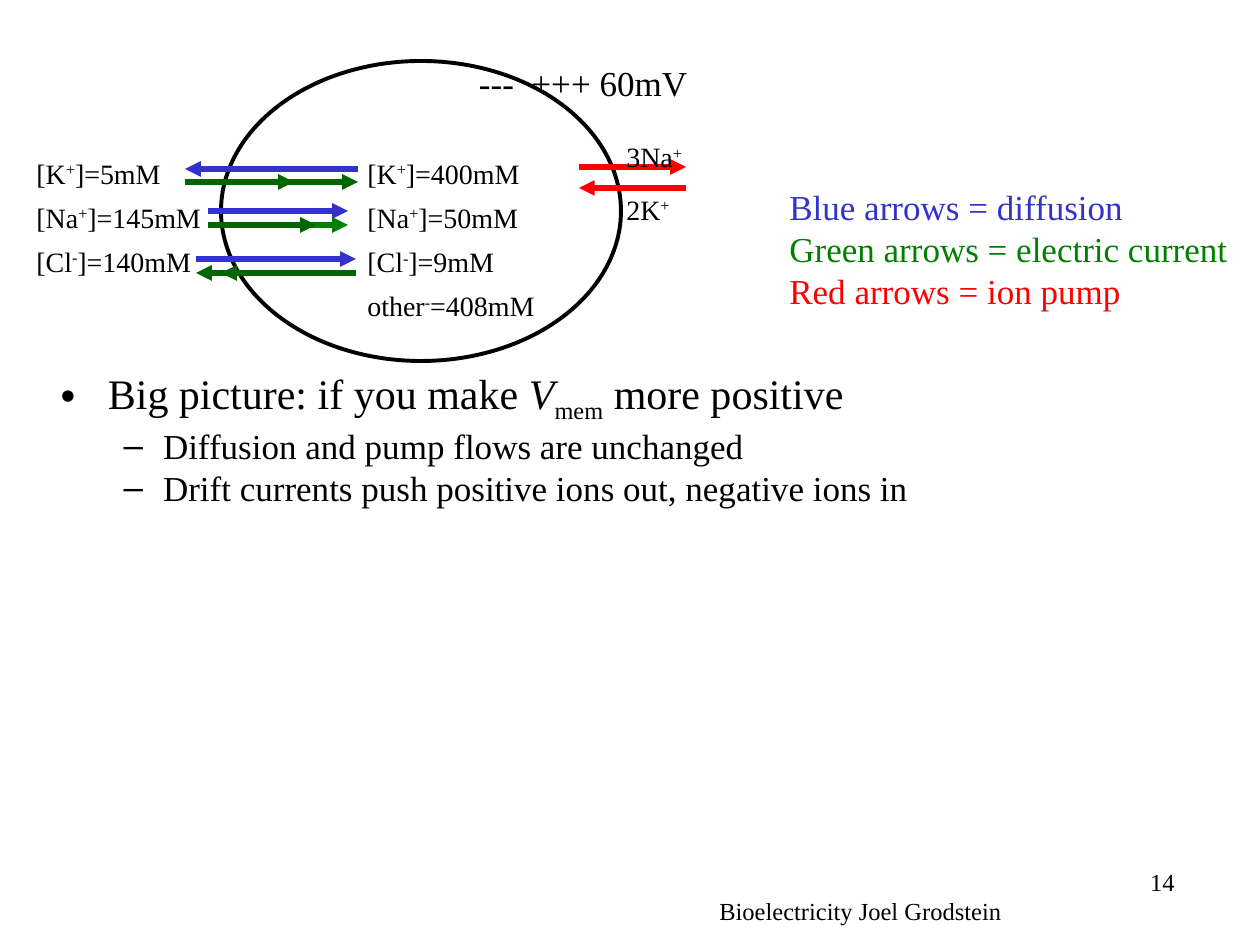
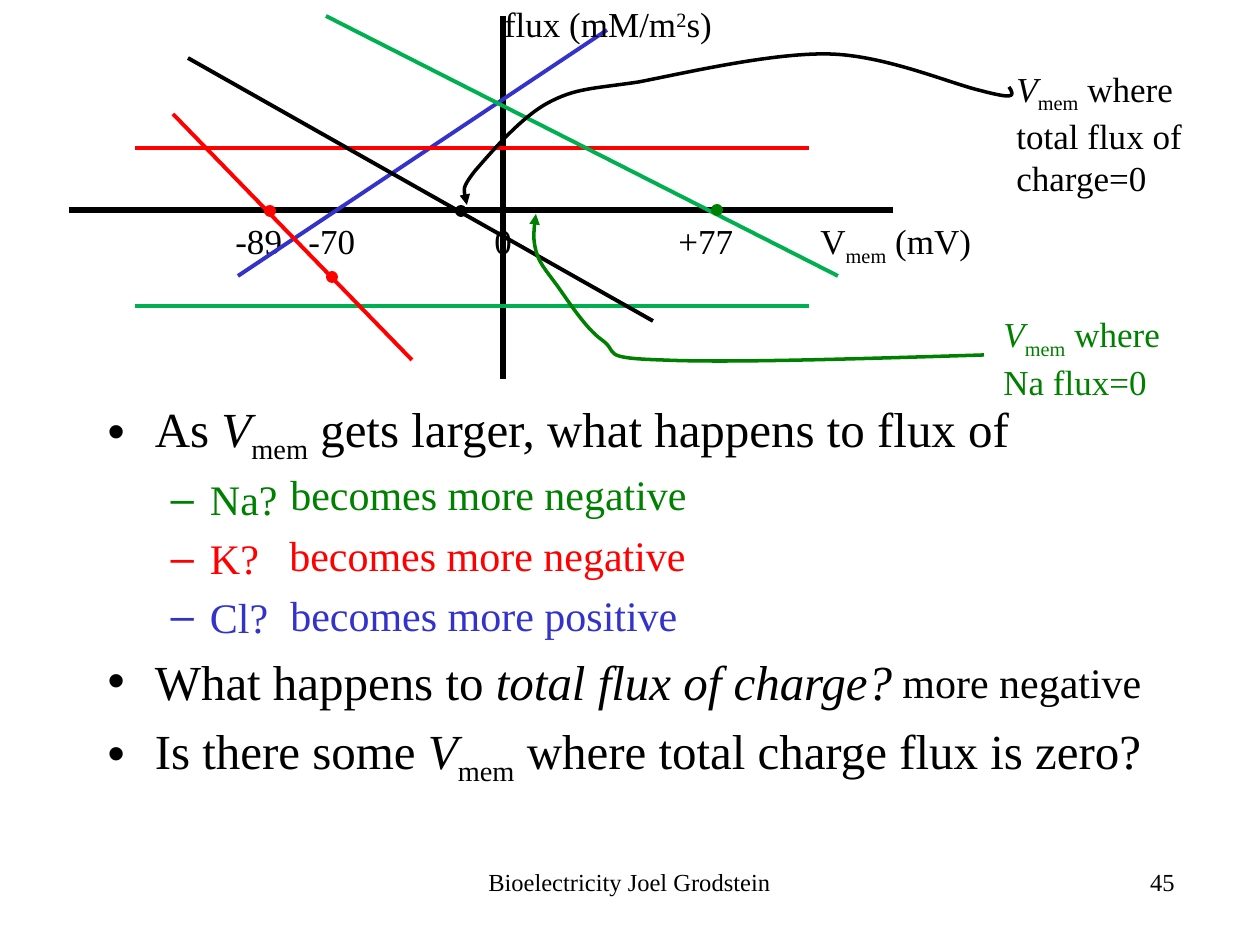
from typing import NamedTuple

import lxml.etree
import pptx
import pptx.dml.color
import pptx.enum.shapes
import pptx.enum.text
import pptx.oxml
import pptx.oxml.ns
import pptx.util

EMU_PER_PX = 914400 / 126
FONT = "Times New Roman"
BLACK, RED, BLUE = "000000", "FF0000", "3333CC"
GREEN, DARK_GREEN, BRIGHT_GREEN = "008000", "006600", "00B050"
LEFT = pptx.enum.text.PP_ALIGN.LEFT
CENTER = pptx.enum.text.PP_ALIGN.CENTER
RIGHT = pptx.enum.text.PP_ALIGN.RIGHT
OVAL = pptx.enum.shapes.MSO_SHAPE.OVAL
STRAIGHT = pptx.enum.shapes.MSO_CONNECTOR.STRAIGHT
BASELINES = {"^": "30000", "_": "-25000"}


class Line(NamedTuple):
    x1: int
    y1: int
    x2: int
    y2: int
    color: str


class Label(NamedTuple):
    """Text with its box; |^x| is superscript, |_x| subscript, |*x| italic."""
    text: str
    left: int
    top: int
    width: int
    height: int
    color: str = BLACK
    size: int = 20


class Bullet(NamedTuple):
    text: str
    size: int
    level: int = 0
    color: str = BLACK
    tight: bool = False


class Dot(NamedTuple):
    x: int
    y: int
    color: str


def px(length: int) -> int:
    return round(length * EMU_PER_PX)


def rgb(color: str) -> pptx.dml.color.RGBColor:
    return pptx.dml.color.RGBColor.from_string(color)


# Text
def write(paragraph, text: str, *, size: int, color: str = BLACK) -> None:
    for index, piece in enumerate(text.split("|")):
        if not piece:
            continue
        mark, words = (piece[0], piece[1:]) if index % 2 else ("", piece)
        run = paragraph.add_run()
        run.text = words
        run.font.name = FONT
        run.font.size = pptx.util.Pt(size)
        run.font.color.rgb = rgb(color)
        if mark == "*":
            run.font.italic = True
        elif mark:
            run.font._element.set("baseline", BASELINES[mark])


def set_tabs(paragraph, tabs: tuple) -> None:
    properties = paragraph._p.get_or_add_pPr()
    tab_list = lxml.etree.SubElement(properties, pptx.oxml.ns.qn("a:tabLst"))
    for tab in tabs:
        lxml.etree.SubElement(tab_list, pptx.oxml.ns.qn("a:tab"), pos=str(px(tab)), algn="l")


def add_text(slide, label: Label, *, align=LEFT, inset: bool = True, wrap: bool = True,
             space_before: int = 0, line_spacings: tuple = (), colors: tuple = (),
             tabs: tuple = ()) -> None:
    box = slide.shapes.add_textbox(*map(px, label[1:5]))
    frame = box.text_frame
    frame.word_wrap = wrap
    if not inset:
        frame.margin_left = frame.margin_right = frame.margin_top = frame.margin_bottom = 0
    for index, text in enumerate(label.text.split("\n")):
        paragraph = frame.add_paragraph() if index else frame.paragraphs[0]
        paragraph.alignment = align
        paragraph.space_before = pptx.util.Pt(space_before)
        if line_spacings:
            paragraph.line_spacing = pptx.util.Pt(line_spacings[index])
        if tabs:
            set_tabs(paragraph, tabs)
        write(paragraph, text, size=label.size, color=colors[index] if colors else label.color)


def fill_body(slide, bullets: list[Bullet], left: int, top: int, width: int, height: int) -> None:
    body = slide.placeholders[1]
    body.left, body.top, body.width, body.height = map(px, (left, top, width, height))
    frame = body.text_frame
    frame.auto_size = pptx.enum.text.MSO_AUTO_SIZE.NONE
    for index, bullet in enumerate(bullets):
        paragraph = frame.add_paragraph() if index else frame.paragraphs[0]
        paragraph.level = bullet.level
        if bullet.tight:
            paragraph.space_before = pptx.util.Pt(0)
        write(paragraph, bullet.text, size=bullet.size, color=bullet.color)


# Lines and shapes
def style_line(shape, color: str, width: float, arrow: bool) -> None:
    shape.line.color.rgb = rgb(color)
    shape.line.width = pptx.util.Pt(width)
    if arrow:
        tail = pptx.oxml.parse_xml(f'<a:tailEnd {pptx.oxml.ns.nsdecls("a")} type="triangle"/>')
        shape.line._get_or_add_ln().append(tail)


def add_line(slide, line: Line, width: float, arrow: bool = False) -> None:
    connector = slide.shapes.add_connector(STRAIGHT, *map(px, line[:4]))
    style_line(connector, line.color, width, arrow)
    effects = pptx.oxml.parse_xml(f'<a:effectLst {pptx.oxml.ns.nsdecls("a")}/>')
    connector._element.spPr.append(effects)


def add_curved_arrow(slide, points: list[tuple[int, int]], color: str) -> None:
    """Draw chained cubic curves: a start point, then three points for each curve."""
    vertices = [(px(x), px(y)) for x, y in points]
    builder = slide.shapes.build_freeform(*vertices[0])
    builder.add_line_segments(vertices[1:], close=False)
    shape = builder.convert_to_shape()
    # Turn every three straight segments into one cubic curve
    segments = list(shape._element.iter(pptx.oxml.ns.qn("a:lnTo")))
    outline = segments[0].getparent()
    for first in range(0, len(segments), 3):
        curve = lxml.etree.SubElement(outline, pptx.oxml.ns.qn("a:cubicBezTo"))
        for segment in segments[first:first + 3]:
            curve.append(segment[0])
            outline.remove(segment)
    shape.shadow.inherit = False
    shape.fill.background()
    style_line(shape, color, 2, arrow=True)


def add_ellipse(slide, left: int, top: int, width: int, height: int,
                fill: str = "", outline: str = "") -> None:
    shape = slide.shapes.add_shape(OVAL, *map(px, (left, top, width, height)))
    shape.shadow.inherit = False
    if fill:
        shape.fill.solid()
        shape.fill.fore_color.rgb = rgb(fill)
    else:
        shape.fill.background()
    if outline:
        style_line(shape, outline, 2.25, arrow=False)
    else:
        shape.line.fill.background()


def new_slide(presentation, number: int, footer_left: int, footer_top: int):
    slide = presentation.slides.add_slide(presentation.slide_layouts[1])
    title = slide.shapes.title._element
    title.getparent().remove(title)
    add_text(slide, Label(str(number), 788, 861, 399, 63, size=14), align=RIGHT)
    add_text(slide, Label("Bioelectricity Joel Grodstein", footer_left, footer_top, 399, 43,
                          size=14), align=CENTER)
    return slide


def build_cell_slide(presentation) -> None:
    slide = new_slide(presentation, 14, 661, 890)
    fill_body(slide, [
        Bullet("Big picture: if you make |*V||_mem| more positive", 24),
        Bullet("Diffusion and pump flows are unchanged", 20, 1, tight=True),
        Bullet("Drift currents push positive ions out, negative ions in", 20, 1, tight=True),
    ], 48, 361, 1157, 510)

    # Cell with the concentrations inside and outside
    add_ellipse(slide, 221, 61, 400, 300, outline=BLACK)
    inside = "[K|^+|]=400mM\n[Na|^+|]=50mM\n[Cl|^-|]=9mM\nother|^-|=408mM"
    outside = "[K|^+|]=5mM\n[Na|^+|]=145mM\n[Cl|^-|]=140mM"
    add_text(slide, Label(inside, 355, 150, 195, 180, size=16), space_before=6)
    add_text(slide, Label(outside, 24, 150, 207, 136, size=16), space_before=6)

    # Colour key
    key = "Blue arrows = diffusion\nGreen arrows = electric current\nRed arrows = ion pump"
    add_text(slide, Label(key, 777, 179, 469, 140), colors=(BLUE, GREEN, RED))
    add_text(slide, Label("---  +++ 60mV", 479, 61, 209, 43), inset=False, wrap=False)

    # Ion flows: diffusion, electric current, pump
    for arrow in (
        Line(208, 211, 348, 211, BLUE),
        Line(196, 259, 356, 259, BLUE),
        Line(358, 169, 185, 169, BLUE),
        Line(185, 182, 358, 182, DARK_GREEN),
        Line(208, 225, 348, 225, GREEN),
        Line(356, 273, 196, 273, DARK_GREEN),
        Line(579, 167, 686, 167, RED),
        Line(686, 188, 579, 188, RED),
        Line(185, 182, 294, 182, DARK_GREEN),
        Line(208, 225, 316, 225, DARK_GREEN),
        Line(356, 273, 221, 273, DARK_GREEN),
    ):
        add_line(slide, arrow, 3, arrow=True)
    add_text(slide, Label("3Na|^+|\n2K|^+|", 614, 127, 88, 106, size=16),
             line_spacings=(23, 30))


def build_flux_slide(presentation) -> None:
    slide = new_slide(presentation, 45, 430, 861)
    fill_body(slide, [
        Bullet("As |*V||_mem| gets larger, what happens to flux of", 28),
        Bullet("Na?", 24, 1, GREEN),
        Bullet("K?", 24, 1, RED),
        Bullet("Cl?", 24, 1, BLUE),
        Bullet("What happens to |*total flux of charge?|", 28),
        Bullet("Is there some |*V||_mem| where total charge flux is zero?", 28),
    ], 95, 392, 1100, 469)

    # Axes and voltage labels
    add_line(slide, Line(69, 210, 893, 210, BLACK), 3)
    add_line(slide, Line(503, 379, 503, 16, BLACK), 3)
    add_text(slide, Label("-89\t-70\t0\t+77\tV|_mem| (mV)", 223, 213, 769, 55),
             tabs=(73, 259, 443, 585))

    # Flux of each ion and of total charge
    for flux in (
        Line(607, 30, 238, 276, BLUE),
        Line(135, 306, 809, 306, BRIGHT_GREEN),
        Line(135, 148, 809, 148, RED),
        Line(173, 114, 412, 360, RED),
        Line(326, 16, 838, 276, BRIGHT_GREEN),
        Line(188, 58, 653, 321, BLACK),
    ):
        add_line(slide, flux, 2.25)
    for dot in (Dot(332, 277, RED), Dot(270, 211, RED), Dot(717, 210, GREEN),
                Dot(461, 211, BLACK)):
        add_ellipse(slide, dot.x - 6, dot.y - 6, 12, 12, fill=dot.color)

    # Answers and callouts
    for label in (
        Label("becomes more negative", 278, 462, 440, 63, GREEN, 24),
        Label("more negative", 890, 650, 273, 63, BLACK, 24),
        Label("|*V||_mem| where Na flux=0", 991, 306, 198, 97, GREEN),
        Label("becomes more negative", 277, 523, 427, 63, RED, 24),
        Label("becomes more positive", 278, 583, 440, 63, BLUE, 24),
        Label("|*V||_mem| where total flux of charge=0", 1004, 61, 207, 140),
    ):
        add_text(slide, label)
    add_curved_arrow(slide, [
        (984, 355), (854, 359), (726, 363), (662, 360), (598, 358), (620, 353), (602, 340),
        (585, 328), (567, 299), (556, 284), (544, 268), (539, 262), (536, 251),
        (533, 239), (534, 227), (536, 214)], GREEN)
    add_curved_arrow(slide, [
        (1009, 87), (1012, 91), (1014, 96), (1009, 96), (1004, 97), (982, 91), (982, 91),
        (951, 84), (885, 55), (828, 54), (771, 53), (685, 73), (639, 82),
        (592, 89), (576, 88), (548, 103), (520, 118), (489, 155), (475, 171),
        (461, 189), (465, 197), (467, 205)], BLACK)
    add_text(slide, Label("flux (mM/m|^2|s)", 504, 3, 243, 43), inset=False)


def main() -> None:
    presentation = pptx.Presentation()
    presentation.slide_width, presentation.slide_height = px(1260), px(945)
    build_cell_slide(presentation)
    build_flux_slide(presentation)
    presentation.save("out.pptx")


if __name__ == "__main__":
    main()
